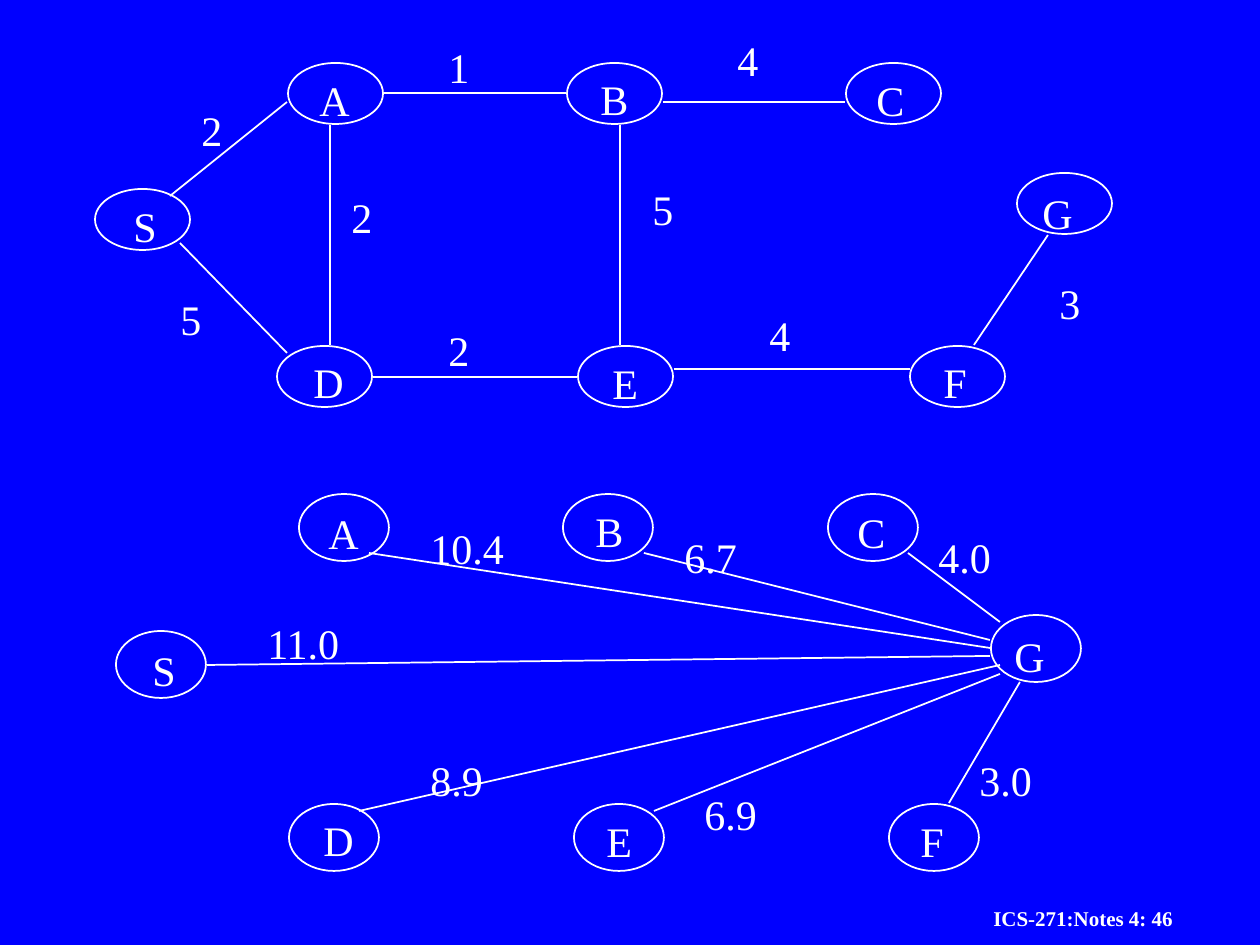
from lxml.etree import SubElement
from pptx import Presentation
from pptx.dml.color import RGBColor
from pptx.enum.shapes import MSO_CONNECTOR as CONNECTOR, MSO_SHAPE as SHAPE
from pptx.enum.text import MSO_AUTO_SIZE as AUTO_SIZE
from pptx.oxml.ns import qn
from pptx.util import Emu, Pt

PX = 914400 // 126
BLUE = RGBColor(0x00, 0x00, 0xFF)
WHITE = RGBColor(0xFF, 0xFF, 0xFF)
FONT = "Times New Roman"
STROKE = Pt(0.99)
EM = 42
INSET = 27
GLYPH_EMS = {"S": 0.56, "F": 0.56, "E": 0.61, "B": 0.67, "C": 0.67,
             "A": 0.72, "D": 0.72, "G": 0.72, ".": 0.25}

# name: (oval left, oval top, letter left, letter top)
ROAD_NODES = {
    "S": (95, 189, 121, 194),
    "D": (277, 346, 301, 350),
    "E": (578, 346, 600, 351),
    "F": (910, 346, 931, 350),
    "G": (1017, 173, 1030, 181),
    "A": (288, 63, 307, 68),
    "B": (567, 63, 588, 67),
    "C": (846, 63, 864, 68),
}
# (weight, weight left, weight top, line start, line end)
ROAD_EDGES = [
    ("5", 168, 287, (180, 243), (287, 353)),
    ("2", 189, 98, (170, 196), (287, 102)),
    ("2", 339, 185, (330, 125), (330, 345)),
    ("1", 436, 35, (384, 93), (566, 93)),
    ("2", 436, 318, (373, 377), (577, 377)),
    ("4", 725, 28, (663, 102), (845, 102)),
    ("4", 757, 303, (674, 369), (910, 369)),
    ("3", 1047, 271, (974, 345), (1048, 235)),
    ("5", 640, 177, (620, 125), (620, 345)),
]
GOAL_NODES = {
    "S": (116, 631, 140, 638),
    "D": (289, 804, 311, 808),
    "E": (574, 804, 594, 809),
    "F": (889, 804, 908, 809),
    "G": (991, 615, 1002, 624),
    "A": (299, 494, 316, 501),
    "B": (563, 494, 583, 499),
    "C": (828, 494, 845, 500),
}
GOAL_EDGES = [
    ("4.0", 926, 525, (908, 553), (1000, 622)),
    ("6.7", 672, 525, (644, 553), (990, 640)),
    ("10.4", 418, 516, (369, 553), (990, 648)),
    ("11.0", 255, 611, (207, 665), (990, 656)),
    ("8.9", 418, 748, (359, 811), (1000, 665)),
    ("6.9", 692, 782, (654, 811), (1000, 674)),
    ("3.0", 967, 748, (949, 803), (1020, 682)),
]


def px(*lengths):
    """Turn picture pixels into EMU."""
    return [Emu(round(length) * PX) for length in lengths]


def add_text(shapes, text, left, top, width, height, size, bold=False):
    """Add one line of white text."""
    box = shapes.add_textbox(*px(left, top, width, height))
    box.text_frame.word_wrap = False
    box.text_frame.auto_size = AUTO_SIZE.SHAPE_TO_FIT_TEXT
    paragraph = box.text_frame.paragraphs[0]
    paragraph.text = text
    font = paragraph.font
    font.name, font.size, font.bold = FONT, Pt(size), bold
    font.color.rgb = WHITE
    return box


def add_label(shapes, text, left, top):
    """Add a node letter or edge weight in a box as wide as its glyphs."""
    width = INSET + EM * sum(GLYPH_EMS.get(glyph, 0.5) for glyph in text)
    add_text(shapes, text, left, top, width, 63, 24)


def add_node(shapes, left, top, width, height):
    """Add an outlined oval."""
    oval = shapes.add_shape(SHAPE.OVAL, *px(left, top, width, height))
    oval.shadow.inherit = False
    oval.fill.background()
    oval.line.color.rgb = WHITE
    oval.line.width = STROKE


def add_edge(shapes, start, end):
    """Add a plain straight line between two points."""
    edge = shapes.add_connector(CONNECTOR.STRAIGHT, *px(*start, *end))
    edge.line.color.rgb = WHITE
    edge.line.width = STROKE
    SubElement(edge._element.spPr, qn("a:effectLst"))


def add_graph(shapes, nodes, edges, node_size):
    """Add a weighted graph."""
    for name, (left, top, letter_left, letter_top) in nodes.items():
        add_node(shapes, left, top, *node_size)
        add_label(shapes, name, letter_left, letter_top)
    for weight, left, top, start, end in edges:
        add_edge(shapes, start, end)
        add_label(shapes, weight, left, top)


def main():
    """Build the slide with the road graph and the distances to the goal."""
    deck = Presentation()
    deck.slide_width, deck.slide_height = px(1260, 945)
    slide = deck.slides.add_slide(deck.slide_layouts[6])
    background = slide.background.fill
    background.solid()
    background.fore_color.rgb = BLUE

    footer = add_text(slide.shapes, "ICS-271:Notes 4: 46", 981, 899, 278, 38, 12, True)
    footer.text_frame.word_wrap = True
    add_graph(slide.shapes.add_group_shape().shapes, GOAL_NODES, GOAL_EDGES, (90, 67))
    add_graph(slide.shapes, ROAD_NODES, ROAD_EDGES, (95, 61))
    deck.save("out.pptx")


main()
